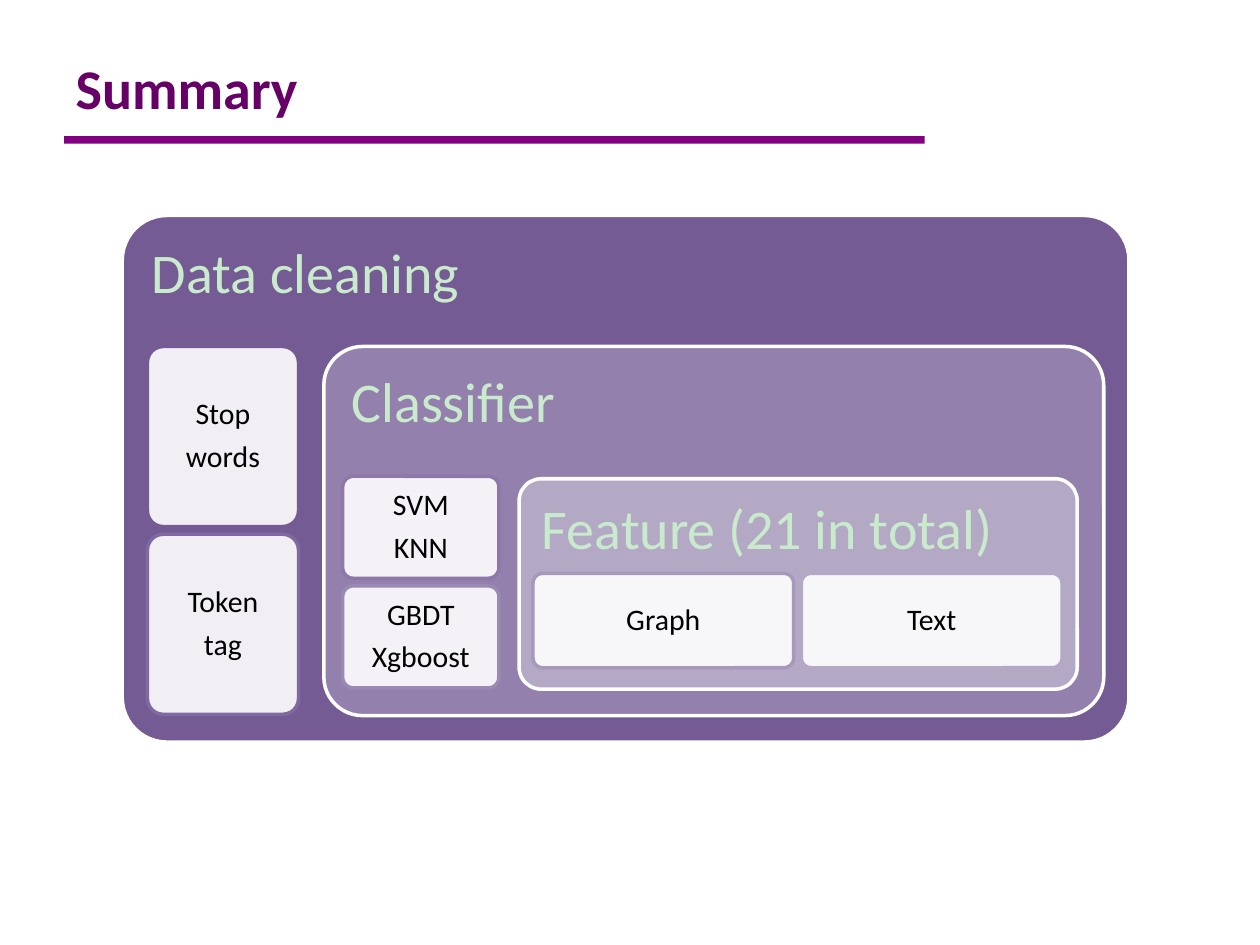
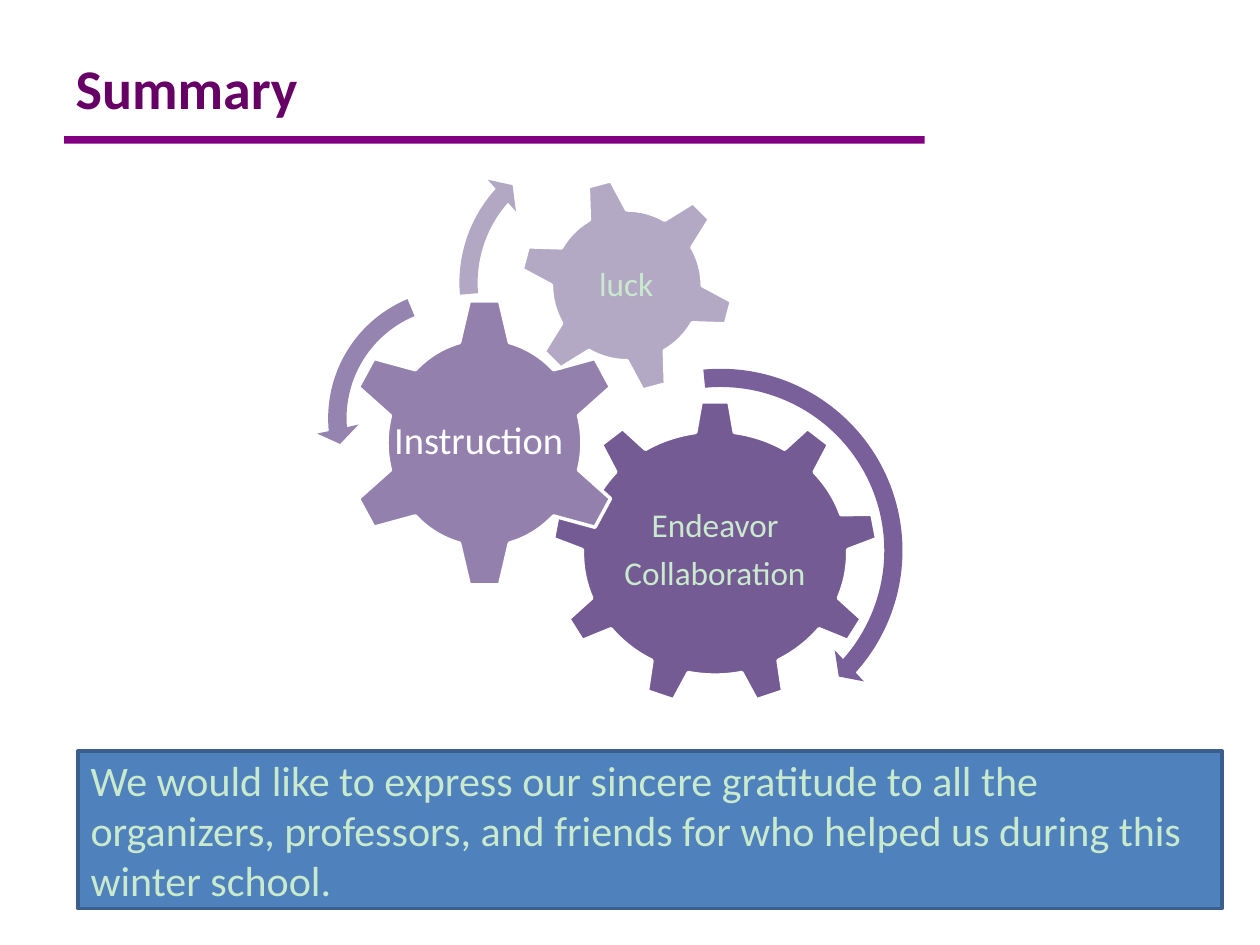
from dataclasses import dataclass

from lxml.etree import SubElement
from pptx import Presentation
from pptx.dml.color import RGBColor
from pptx.enum.shapes import MSO_SHAPE
from pptx.enum.text import MSO_ANCHOR, PP_ALIGN
from pptx.oxml.ns import qn
from pptx.util import Inches, Pt


@dataclass(frozen=True)
class Theme:
    font: str = "Calibri"
    white: str = "FFFFFF"
    black: str = "000000"
    mint: str = "CAEACE"
    title: str = "660066"
    band: str = "800080"
    deep: str = "745B93"
    middle: str = "9380AD"
    pale: str = "B4A9C5"
    note: str = "4F81BD"
    note_line: str = "3A5F8C"
    heading_size: int = 32
    note_size: int = 24
    callout_size: int = 22
    gear_size: int = 19
    chip_size: int = 17
    line_width: int = 2
    chip_opacity: int = 90


THEME = Theme()
CHIP_GAP = 0.06


def set_attributes(target, values):
    for name, value in values.items():
        setattr(target, name, value)


def write_text(tf, lines, size, color, bold=False, align=PP_ALIGN.LEFT,
               anchor=MSO_ANCHOR.MIDDLE, inset=None, tight=False):
    """Fill a text frame, one paragraph per line; tight is the diagram spacing."""
    set_attributes(tf, {"word_wrap": True, "vertical_anchor": anchor})
    if inset is not None:
        sides = ("left", "top", "right", "bottom")
        set_attributes(tf, {f"margin_{side}": Inches(inset) for side in sides})
    for i, line in enumerate(lines):
        p = tf.add_paragraph() if i else tf.paragraphs[0]
        p.alignment = align
        if tight:
            set_attributes(p, {"line_spacing": 0.9, "space_after": Pt(round(0.35 * size, 1))})
        r = p.add_run()
        r.text = line
        set_attributes(r.font, {"name": THEME.font, "size": Pt(size), "bold": bold})
        r.font.color.rgb = RGBColor.from_string(color)


def add_figure(slide, kind, box, fill, line=None, adjustments=(), opacity=None):
    """Add a preset shape; box is left, top, width, height in inches."""
    sp = slide.shapes.add_shape(kind, *map(Inches, box))
    sp.shadow.inherit = False
    for i, value in enumerate(adjustments):
        sp.adjustments[i] = value
    sp.fill.solid()
    sp.fill.fore_color.rgb = RGBColor.from_string(fill)
    if opacity is not None:
        color = sp.element.spPr.find(qn("a:solidFill"))[0]
        SubElement(color, qn("a:alpha")).set("val", str(opacity * 1000))
    if line:
        sp.line.color.rgb = RGBColor.from_string(line)
        sp.line.width = Pt(THEME.line_width)
    else:
        sp.line.fill.background()
    return sp


def add_label(slide, box, lines, size, color, **text_format):
    tb = slide.shapes.add_textbox(*map(Inches, box))
    write_text(tb.text_frame, lines, size, color, **text_format)


def add_panel(slide, box, heading, fill, corner=0.105):
    sp = add_figure(slide, MSO_SHAPE.ROUNDED_RECTANGLE, box, fill, THEME.white, [corner])
    write_text(sp.text_frame, [heading], THEME.heading_size, THEME.mint,
               anchor=MSO_ANCHOR.TOP, inset=0.13, tight=True)


def add_chips(slide, first_box, chips, across=False):
    """Lay out (lines, outline) chips at equal gaps, down or across."""
    left, top, width, height = first_box
    for i, (lines, outline) in enumerate(chips):
        dx = i * (width + CHIP_GAP) if across else 0
        dy = 0 if across else i * (height + CHIP_GAP)
        sp = add_figure(slide, MSO_SHAPE.ROUNDED_RECTANGLE,
                        (left + dx, top + dy, width, height),
                        THEME.white, outline, [0.105], THEME.chip_opacity)
        write_text(sp.text_frame, lines, THEME.chip_size, THEME.black,
                   align=PP_ALIGN.CENTER, inset=0.07, tight=True)


def add_gear(slide, kind, box, fill, rotation=0):
    sp = add_figure(slide, kind, box, fill, THEME.white)
    sp.rotation = rotation


def add_gear_label(slide, box, lines):
    add_label(slide, box, lines, THEME.gear_size, THEME.mint,
              align=PP_ALIGN.CENTER, inset=0.03, tight=True)


def prepare_layout(layout):
    title = layout.placeholders[0]
    set_attributes(title, {"left": Inches(0.5), "top": Inches(0.3),
                           "width": Inches(9), "height": Inches(0.79)})


def add_titled_slide(prs, layout, title):
    slide = prs.slides.add_slide(layout)
    write_text(slide.shapes.title.text_frame, [title], THEME.heading_size,
               THEME.title, bold=True)
    return slide


def move_band_to_layout(slide, layout):
    """Draw the title band once, on the layout that all slides share."""
    band = add_figure(slide, MSO_SHAPE.RECTANGLE, (0.51, 1.08, 6.83, 0.06), THEME.band)
    layout.shapes.element.append(band.element)


def draw_pipeline(slide):
    add_panel(slide, (0.97, 1.71, 7.99, 4.18), "Data cleaning", THEME.deep, 0.085)
    add_chips(slide, (1.17, 2.75, 1.2, 1.43),
              [(["Stop", "words"], THEME.deep), (["Token", "tag"], "8068A0")])
    add_panel(slide, (2.57, 2.75, 6.19, 2.93), "Classifier", THEME.middle)
    add_chips(slide, (2.72, 3.78, 1.24, 0.81),
              [(["SVM", "KNN"], "8D78A9"), (["GBDT", "Xgboost"], "9A89B2")])
    add_panel(slide, (4.12, 3.8, 4.43, 1.67), "Feature (21 in total)", THEME.pale)
    add_chips(slide, (4.23, 4.55, 2.07, 0.75),
              [(["Graph"], "A799BB"), (["Text"], THEME.pale)], across=True)


def draw_gears(slide):
    add_gear(slide, MSO_SHAPE.GEAR_9, (4.38, 3.18, 2.59, 2.42), THEME.deep)
    add_gear_label(slide, (4.89, 3.75, 1.57, 1.24), ["Endeavor", "Collaboration"])
    add_gear(slide, MSO_SHAPE.GEAR_6, (2.74, 2.36, 2.21, 2.31), THEME.middle)
    add_gear(slide, MSO_SHAPE.GEAR_6, (4.12, 1.41, 1.71, 1.71), THEME.pale, 345)
    add_gear_label(slide, (4.49, 1.79, 0.96, 0.96), ["luck"])
    right, left = MSO_SHAPE.CIRCULAR_ARROW, MSO_SHAPE.LEFT_CIRCULAR_ARROW
    turns = [
        (right, (4.18, 2.83, 3.08, 3.08), "7A609B", (0.047, 2.99, 25.114, 158.715, 0.055)),
        (left, (2.51, 2.2, 2.24, 2.24), "9684B0", (0.065, 4.3, 104.891, 148.378, 0.075)),
        (right, (3.55, 1.04, 2.41, 2.41), "B3A8C4", (0.06, 3.941, 133.138, 105.082, 0.07)),
    ]
    for kind, box, fill, adjustments in turns:
        add_figure(slide, kind, box, fill, adjustments=adjustments)
    add_label(slide, (3.03, 3.25, 1.72, 0.47), ["Instruction"],
              THEME.callout_size, THEME.white, anchor=MSO_ANCHOR.TOP)


def add_thanks(slide, text):
    sp = add_figure(slide, MSO_SHAPE.RECTANGLE, (0.62, 5.96, 9.08, 1.25),
                    THEME.note, THEME.note_line)
    write_text(sp.text_frame, [text], THEME.note_size, THEME.mint)


def main():
    prs = Presentation()
    set_attributes(prs, {"slide_width": Inches(10), "slide_height": Inches(7.5)})
    layout = prs.slide_layouts[5]
    prepare_layout(layout)

    pipeline = add_titled_slide(prs, layout, "Summary")
    move_band_to_layout(pipeline, layout)
    draw_pipeline(pipeline)

    gears = add_titled_slide(prs, layout, "Summary")
    draw_gears(gears)
    add_thanks(gears, "We would like to express our sincere gratitude to all the "
                      "organizers, professors, and friends for who helped us during "
                      "this winter school.")
    prs.save("out.pptx")


if __name__ == "__main__":
    main()
